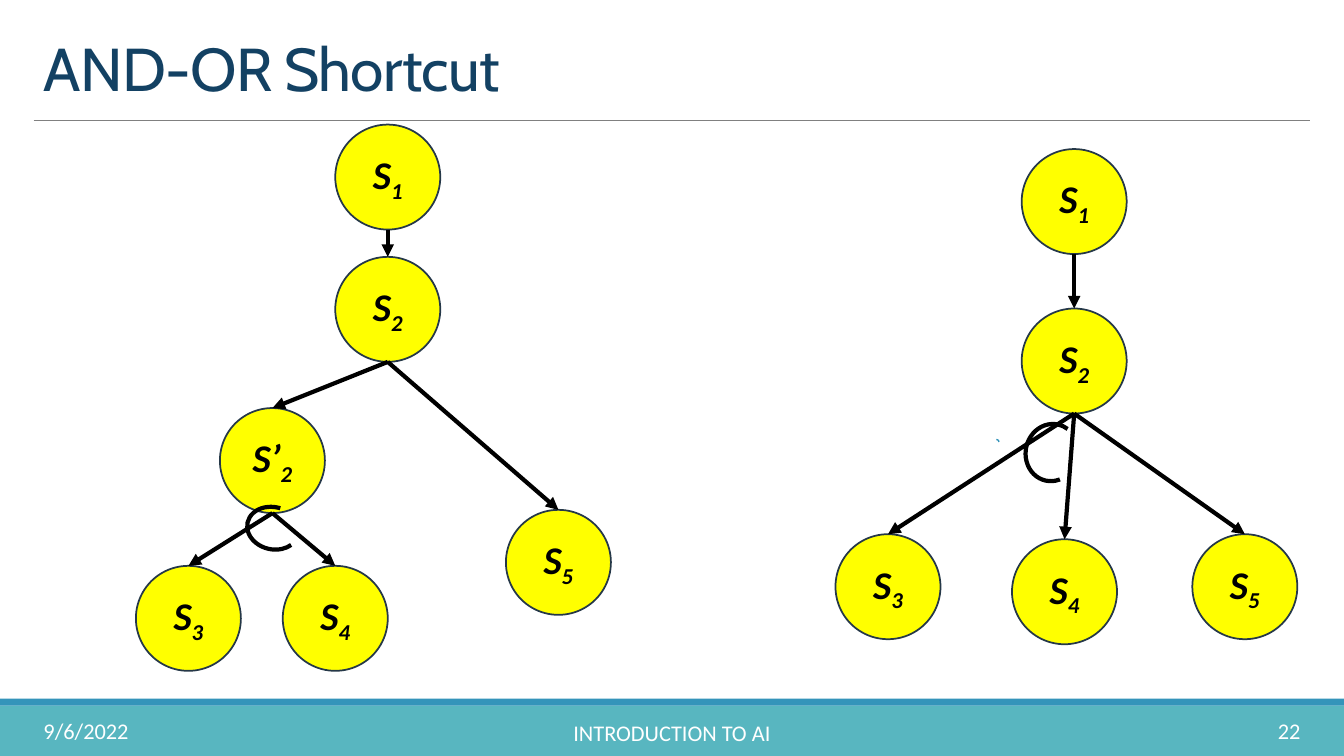
"""Build the slide comparing two AND-OR trees before and after a shortcut."""
import pptx
import pptx.dml.color
import pptx.enum.shapes
import pptx.enum.text
import pptx.oxml
import pptx.oxml.ns
import pptx.util

Pt = pptx.util.Pt
RGBColor = pptx.dml.color.RGBColor
SHAPE = pptx.enum.shapes.MSO_SHAPE
ALIGN = pptx.enum.text.PP_ALIGN
ANCHOR = pptx.enum.text.MSO_ANCHOR

BLACK = RGBColor(0x00, 0x00, 0x00)
WHITE = RGBColor(0xFF, 0xFF, 0xFF)
YELLOW = RGBColor(0xFF, 0xFF, 0x00)
OUTLINE = RGBColor(0x25, 0x38, 0x48)
NAVY = RGBColor(0x13, 0x41, 0x63)
TEAL = RGBColor(0x58, 0xB6, 0xC0)
BLUE = RGBColor(0x34, 0x94, 0xBA)
GRAY = RGBColor(0x80, 0x80, 0x80)

TITLE_FORMAT = {"name": "Cabin", "size": Pt(43.2)}
FOOTER_FORMAT = {"name": "Calibri", "size": Pt(16)}
STATE_FORMAT = {"name": "Calibri", "size": Pt(28), "bold": True, "italic": True}
DIAMETER = 75


def add_run(paragraph, text, color, font_format):
    run = paragraph.add_run()
    run.text = text
    run.font.color.rgb = color
    for attribute, value in font_format.items():
        setattr(run.font, attribute, value)
    return run


def add_line(start, end, color, width):
    line = slide.shapes.add_connector(
        pptx.enum.shapes.MSO_CONNECTOR.STRAIGHT, *map(Pt, start + end))
    line.line.color.rgb = color
    line.line.width = Pt(width)
    pptx.oxml.ns.qn("a:effectLst")
    line._element.spPr.append(pptx.oxml.parse_xml(
        f'<a:effectLst {pptx.oxml.ns.nsdecls("a")}/>'))
    return line


deck = pptx.Presentation()
deck.slide_width, deck.slide_height = Pt(960), Pt(540)
slide = deck.slides.add_slide(deck.slide_layouts[5])

for top, height, color in [(504, 36, TEAL), (499, 5, BLUE)]:
    band = slide.shapes.add_shape(SHAPE.RECTANGLE, 0, Pt(top), Pt(960), Pt(height))
    band.shadow.inherit = False
    band.fill.solid()
    band.fill.fore_color.rgb = color
    band.line.fill.background()
add_line((24, 86), (936, 86), GRAY, 0.5)

title = slide.shapes.title
title.left, title.top, title.width, title.height = map(Pt, (24, 22.3, 912, 55.4))
title.text_frame.vertical_anchor = ANCHOR.BOTTOM
title.text_frame.auto_size = pptx.enum.text.MSO_AUTO_SIZE.NONE
heading = title.text_frame.paragraphs[0]
heading.alignment = ALIGN.LEFT
heading.line_spacing = 0.85
heading_run = add_run(heading, "AND-OR Shortcut", NAVY, TITLE_FORMAT)
heading_run.font._element.set("spc", "-50")

for text, left, top, width, alignment in [
    ("9/6/2022", 24, 507.6, 194.4, ALIGN.LEFT),
    ("INTRODUCTION TO AI", 290, 508.6, 380, ALIGN.CENTER),
    ("22", 833, 507.6, 103, ALIGN.RIGHT),
]:
    footer = slide.shapes.add_textbox(Pt(left), Pt(top), Pt(width), Pt(28.8))
    footer.text_frame.word_wrap = True
    footer.text_frame.vertical_anchor = ANCHOR.MIDDLE
    footer.text_frame.paragraphs[0].alignment = alignment
    add_run(footer.text_frame.paragraphs[0], text, WHITE, FOOTER_FORMAT)

shortcut_tree = (
    {"S1": (767.3, 106.5), "S2": (767.3, 220.4), "S3": (634.3, 381.6),
     "S4": (760.4, 385.2), "S5": (889.2, 381.6)},
    [("S1", "S2"), ("S2", "S3"), ("S2", "S4"), ("S2", "S5")],
)
full_tree = (
    {"S1": (277, 89), "S2": (277, 183.5), "S’2": (194.6, 291.5),
     "S3": (134.6, 404.2), "S4": (239.5, 404.2), "S5": (398.9, 364.2)},
    [("S1", "S2"), ("S2", "S’2"), ("S’2", "S3"), ("S’2", "S4"), ("S2", "S5")],
)
for states, edges in (shortcut_tree, full_tree):
    circles = {}
    for label, (center, top) in states.items():
        circle = slide.shapes.add_shape(
            SHAPE.OVAL, Pt(center - DIAMETER / 2), Pt(top), Pt(DIAMETER), Pt(DIAMETER))
        circle.shadow.inherit = False
        circle.fill.solid()
        circle.fill.fore_color.rgb = YELLOW
        circle.line.color.rgb = OUTLINE
        circle.line.width = Pt(1.25)
        circle.text_frame.word_wrap = False
        circle.text_frame.vertical_anchor = ANCHOR.MIDDLE
        name = circle.text_frame.paragraphs[0]
        name.alignment = ALIGN.CENTER
        add_run(name, label[:-1], BLACK, STATE_FORMAT)
        subscript = add_run(name, label[-1], BLACK, STATE_FORMAT)
        subscript.font._element.set("baseline", "-25000")
        circles[label] = circle
    for parent, child in edges:
        center, top = states[parent]
        arrow = add_line((center, top + DIAMETER), states[child], BLACK, 3)
        arrow.end_connect(circles[child], 0)
        arrow.line._get_or_add_ln().append(pptx.oxml.parse_xml(
            f'<a:tailEnd {pptx.oxml.ns.nsdecls("a")} type="triangle"/>'))

for box, angles, rotation, color, width in [
    ((709.9, 313.9, 3.6, 3.6), (270, 0), 0, BLUE, 1),
    ((730.8, 304.6, 41, 37.4), (159.18, 29.62), 282.9, BLACK, 3),
    ((180, 358.6, 30.2, 37.4), (173.21, 60.02), 282.9, BLACK, 3),
]:
    arc = slide.shapes.add_shape(SHAPE.ARC, *map(Pt, box))
    arc.shadow.inherit = False
    arc.fill.background()
    arc.line.color.rgb = color
    arc.line.width = Pt(width)
    for index, angle in enumerate(angles):
        arc.adjustments[index] = angle * 0.6
    if rotation:
        arc.rotation = rotation
        arc._element.spPr.xfrm.set("flipH", "1")

deck.save("out.pptx")
